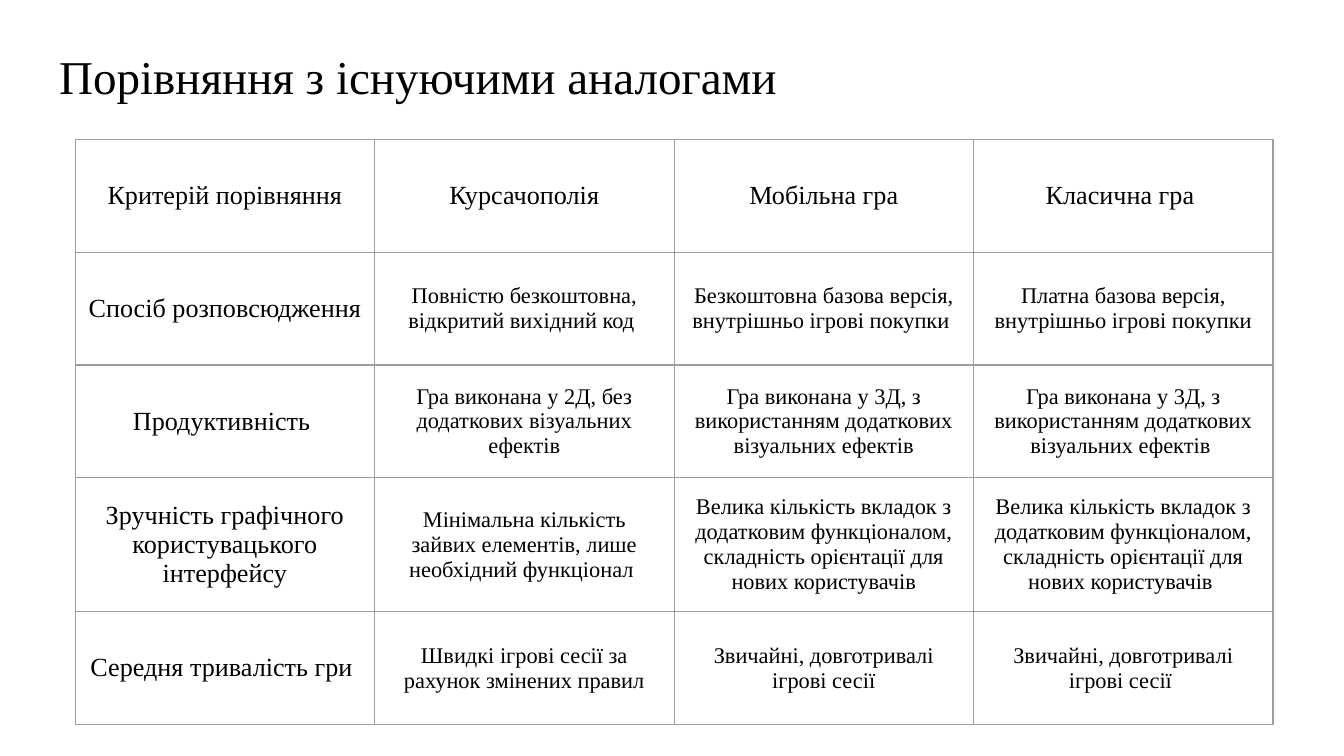
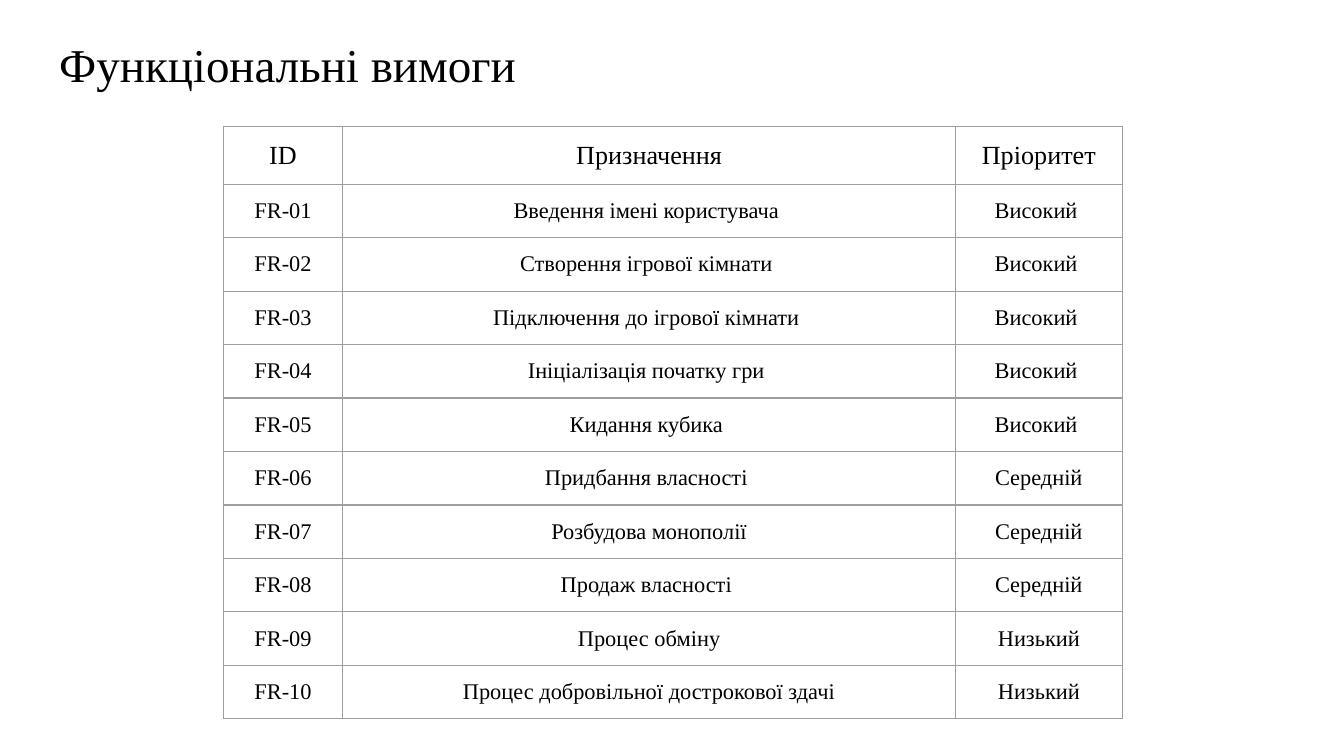
from lxml import etree
from pptx import Presentation
from pptx.dml.color import RGBColor
from pptx.enum.text import MSO_ANCHOR, PP_ALIGN
from pptx.oxml.ns import qn
from pptx.util import Cm, Pt

MIDDLE, BOTTOM = MSO_ANCHOR.MIDDLE, MSO_ANCHOR.BOTTOM
LEFT, CENTER = PP_ALIGN.LEFT, PP_ALIGN.CENTER

FONT = "Times New Roman"
INK = "000000"
PAPER = "FFFFFF"
RULE = "9E9E9E"
TITLE_SIZE, HEADING_SIZE, BODY_SIZE = 25.2, 14, 12
INSET = 0.25

GRAPHICS_3D = "Гра виконана у 3Д, з використанням додаткових візуальних ефектів"
MANY_TABS = ("Велика кількість вкладок з додатковим функціоналом, "
             "складність орієнтації для нових користувачів")
LONG_SESSIONS = "Звичайні, довготривалі ігрові сесії"

COMPARISON = [
    ("Критерій порівняння", "Курсачополія", "Мобільна гра", "Класична гра "),
    ("Спосіб розповсюдження", "Повністю безкоштовна, відкритий вихідний код ",
     "Безкоштовна базова версія, внутрішньо ігрові покупки ",
     "Платна базова версія, внутрішньо ігрові покупки"),
    ("Продуктивність ", "Гра виконана у 2Д, без додаткових візуальних ефектів",
     GRAPHICS_3D, GRAPHICS_3D + " "),
    ("Зручність графічного користувацького інтерфейсу",
     "Мінімальна кількість зайвих елементів, лише необхідний функціонал ",
     MANY_TABS, MANY_TABS + " "),
    ("Середня тривалість гри ", "Швидкі ігрові сесії за рахунок змінених правил",
     LONG_SESSIONS, LONG_SESSIONS + " "),
]

REQUIREMENTS = [
    ("Введення імені користувача ", "Високий "),
    ("Створення ігрової кімнати ", "Високий "),
    ("Підключення до ігрової кімнати ", "Високий "),
    ("Ініціалізація початку гри ", "Високий "),
    ("Кидання кубика ", "Високий "),
    ("Придбання власності ", "Середній"),
    ("Розбудова монополії", "Середній"),
    ("Продаж власності ", "Середній"),
    ("Процес обміну", "Низький"),
    ("Процес добровільної дострокової здачі", "Низький"),
]
REQUIREMENT_ROWS = [("ID", "Призначення", "Пріоритет")] + [
    (f"FR-{number:02}", *requirement)
    for number, requirement in enumerate(REQUIREMENTS, 1)
]

PAGES = [
    {"title": "Порівняння з існуючими аналогами", "title_top": 0.61,
     "rows": COMPARISON, "left": 1.42, "top": 2.64,
     "widths": [5.66] * 4, "heights": [2.13] * 5, "heading_column": True},
    {"title": "Функціональні вимоги", "title_top": 0.38,
     "rows": REQUIREMENT_ROWS, "left": 4.22, "top": 2.39,
     "widths": [2.26, 11.58, 3.15], "heights": [0.69] + [1.01] * 10,
     "heading_column": False},
]


def color(value):
    return RGBColor.from_string(value)


def write(frame, text, size, align):
    frame.text = text
    para = frame.paragraphs[0]
    para.alignment = align
    for span in para.runs:
        span.font.name = FONT
        span.font.size = Pt(size)
        span.font.color.rgb = color(INK)


def set_margins(target):
    target.margin_left = target.margin_right = Cm(INSET)
    target.margin_top = target.margin_bottom = Cm(INSET)


def add_title(page, text, top):
    box = page.shapes.add_textbox(Cm(0.87), Cm(top), Cm(23.67), Cm(1.6))
    frame = box.text_frame
    frame.word_wrap = True
    frame.vertical_anchor = BOTTOM
    set_margins(frame)
    write(frame, text, TITLE_SIZE, LEFT)


def add_borders(cell):
    properties = cell._tc.get_or_add_tcPr()
    for position, side in enumerate(("a:lnL", "a:lnR", "a:lnT", "a:lnB")):
        line = etree.Element(qn(side), w=str(Pt(0.75)))
        fill = etree.SubElement(line, qn("a:solidFill"))
        etree.SubElement(fill, qn("a:srgbClr"), val=RULE)
        properties.insert(position, line)


def add_grid(page, rows, left, top, widths, heights, heading_column):
    table = page.shapes.add_table(
        len(rows), len(widths), Cm(left), Cm(top),
        Cm(sum(widths)), Cm(sum(heights))).table
    table.first_row = table.horz_banding = False
    for column, width in zip(table.columns, widths):
        column.width = Cm(width)
    for row, height in zip(table.rows, heights):
        row.height = Cm(height)
    for r, texts in enumerate(rows):
        for c, text in enumerate(texts):
            cell = table.cell(r, c)
            is_heading = r == 0 or (heading_column and c == 0)
            write(cell.text_frame, text,
                  HEADING_SIZE if is_heading else BODY_SIZE, CENTER)
            cell.vertical_anchor = MIDDLE
            set_margins(cell)
            cell.fill.background()
            add_borders(cell)


def main():
    deck = Presentation()
    deck.slide_width, deck.slide_height = Cm(25.4), Cm(14.29)
    for content in PAGES:
        page = deck.slides.add_slide(deck.slide_layouts[6])
        page.background.fill.solid()
        page.background.fill.fore_color.rgb = color(PAPER)
        add_title(page, content["title"], content["title_top"])
        add_grid(page, content["rows"], content["left"], content["top"],
                 content["widths"], content["heights"],
                 content["heading_column"])
    deck.save("out.pptx")


if __name__ == "__main__":
    main()
